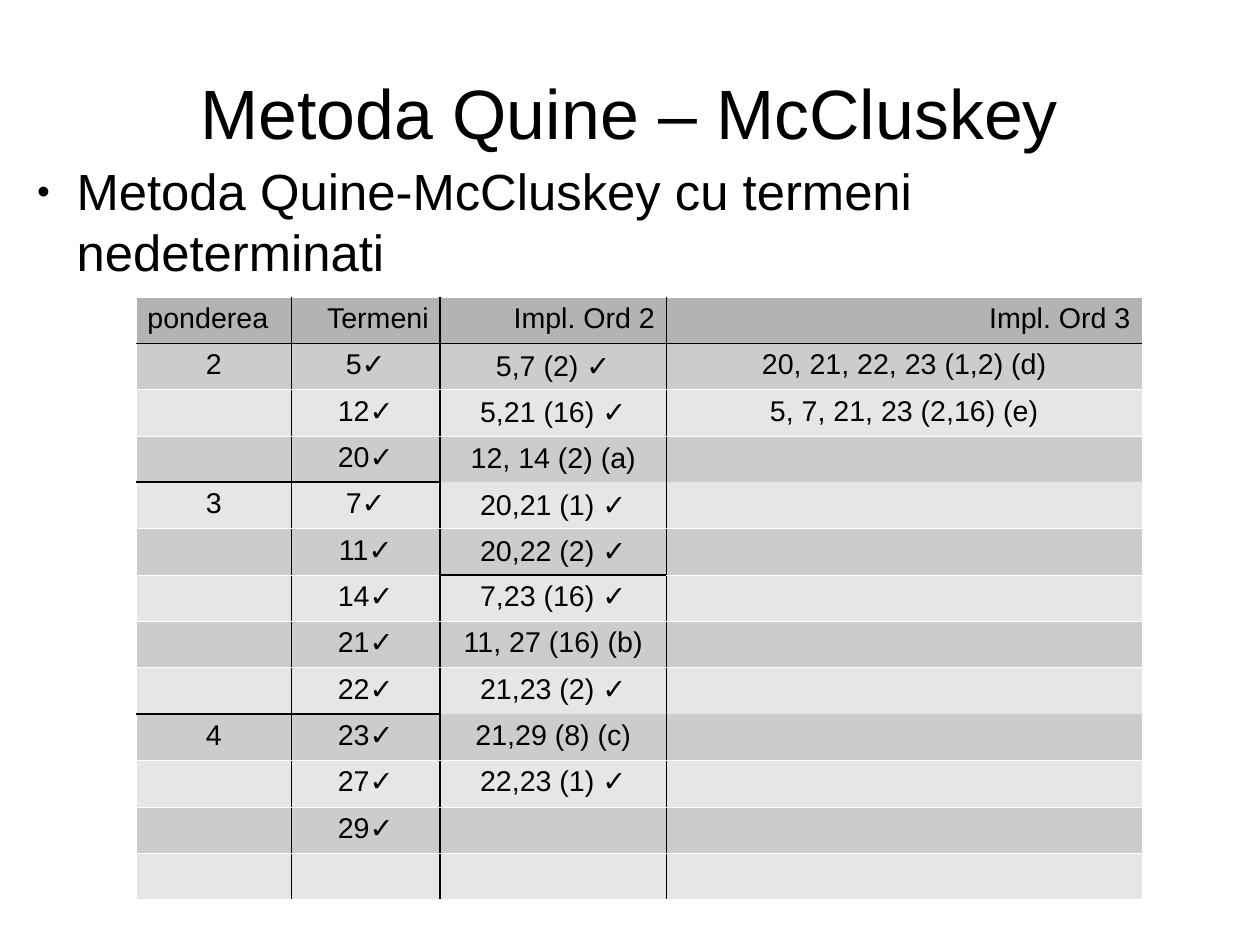
from lxml import etree
from pptx import Presentation
from pptx import util as u
from pptx.dml.color import RGBColor
from pptx.enum import text
from pptx.oxml.ns import qn

TITLE = "Metoda Quine – McCluskey"
BULLET = "Metoda Quine-McCluskey cu termeni nedeterminati"
HEADER = ["ponderea", "Termeni", "Impl. Ord 2", "Impl. Ord 3"]
WEIGHTS = {1: "2", 4: "3", 9: "4"}  # table row: weight of the group
TERMS = [5, 12, 20, 7, 11, 14, 21, 22, 23, 27, 29]
ORDER_2 = ["5,7 (2) ✓", "5,21 (16) ✓", "12, 14 (2) (a)", "20,21 (1) ✓",
           "20,22 (2) ✓", "7,23 (16) ✓", "11, 27 (16) (b)", "21,23 (2) ✓",
           "21,29 (8) (c)", "22,23 (1) ✓"]
ORDER_3 = ["20, 21, 22, 23 (1,2) (d)", "5, 7, 21, 23 (2,16) (e)"]

SLIDE_CM = (28, 21)
ROWS, COL_WIDTHS = 13, [1.36, 1.3, 1.98, 4.16]
LAST_COL = len(COL_WIDTHS) - 1
TABLE_LEFT, TABLE_TOP, TABLE_HEIGHT = 1.19, 2.6, 5.25
GROUP_ENDS = (3, 8)   # rows that close a weight group
ORDER_2_END = 5       # row that closes the first group of order 2
COLORS = {"ink": "000000", "header": "B3B3B3", "odd": "CCCCCC",
          "even": "E6E6E6", "hairline": "FFFFFF"}
BLACK, WHITE = ("ink", 1), ("hairline", 0.06)
FONT = "Arial"
AL = text.PP_ALIGN


def rgb(name):
    """Return a named colour."""
    return RGBColor.from_string(COLORS[name])


def add_run(p, words, size):
    """Add a run in the slide's font."""
    r = p.add_run()
    r.text = words
    r.font.name, r.font.size = FONT, u.Pt(size)
    r.font.color.rgb = rgb("ink")


def fill_placeholder(sp, box, words, size, anchor, spacing):
    """Place a placeholder, write its text and return the paragraph."""
    sp.left, sp.top, sp.width, sp.height = map(u.Inches, box)
    tf = sp.text_frame
    tf.margin_left = tf.margin_right = tf.margin_top = tf.margin_bottom = 0
    tf.word_wrap, tf.auto_size = True, text.MSO_AUTO_SIZE.NONE
    tf.vertical_anchor = anchor
    p = tf.paragraphs[0]
    p.line_spacing = spacing
    add_run(p, words, size)
    return p


def add_bullet(p):
    """Give a paragraph a small round bullet with a hanging indent."""
    pPr = p._p.get_or_add_pPr()
    pPr.set("marL", str(u.Inches(0.47)))
    pPr.set("indent", str(u.Inches(-0.35)))
    clr = etree.SubElement(pPr, qn("a:buClr"))
    etree.SubElement(clr, qn("a:srgbClr"), val=COLORS["ink"])
    etree.SubElement(pPr, qn("a:buSzPct"), val="45000")
    etree.SubElement(pPr, qn("a:buFont"), typeface=FONT)
    etree.SubElement(pPr, qn("a:buChar"), char="●")


def rule_below(row, col):
    """Return the line under a row; row -1 is the table's top edge."""
    if row == 0 or (row == ORDER_2_END and col == 2):
        return BLACK
    if row in GROUP_ENDS:
        return BLACK if col < 2 else None
    return WHITE


def set_borders(cell, row, col):
    """Draw the four borders of a cell."""
    sides = {"L": BLACK if col else WHITE,
             "R": BLACK if col < LAST_COL else WHITE,
             "T": rule_below(row - 1, col),
             "B": rule_below(row, col)}
    tcPr = cell._tc.get_or_add_tcPr()
    for side, line in sides.items():
        ln = etree.SubElement(tcPr, qn("a:ln" + side))
        if line is None:
            etree.SubElement(ln, qn("a:noFill"))
            continue
        color, width = line
        ln.set("w", str(u.Pt(width)))
        solid = etree.SubElement(ln, qn("a:solidFill"))
        etree.SubElement(solid, qn("a:srgbClr"), val=COLORS[color])


def add_terms_table(s):
    """Add the table of terms and implicants."""
    columns = [[WEIGHTS.get(i, "") for i in range(1, ROWS)],
               [f"{t}✓" for t in TERMS], ORDER_2, ORDER_3]
    table = s.shapes.add_table(
        ROWS, len(COL_WIDTHS), u.Inches(TABLE_LEFT), u.Inches(TABLE_TOP),
        u.Inches(sum(COL_WIDTHS)), u.Inches(TABLE_HEIGHT)).table
    table.first_row = table.horz_banding = False
    for row in table.rows:
        row.height = u.Inches(TABLE_HEIGHT / ROWS)
    for col, (width, head, body) in enumerate(zip(COL_WIDTHS, HEADER, columns)):
        table.columns[col].width = u.Inches(width)
        words = [head, *body]
        for row in range(ROWS):
            cell = table.cell(row, col)
            set_borders(cell, row, col)
            cell.fill.solid()
            cell.fill.fore_color.rgb = rgb(
                "header" if row == 0 else "odd" if row % 2 else "even")
            if col == 2 and 1 <= row <= ORDER_2_END:
                cell.vertical_anchor = text.MSO_ANCHOR.MIDDLE
            if row < len(words) and words[row]:
                p = cell.text_frame.paragraphs[0]
                p.alignment = AL.CENTER if row else AL.RIGHT if col else AL.LEFT
                add_run(p, words[row], 18)


prs = Presentation()
prs.slide_width, prs.slide_height = map(u.Cm, SLIDE_CM)
s = prs.slides.add_slide(prs.slide_layouts[1])
title = fill_placeholder(s.shapes.title, (0.55, 0.33, 9.92, 1.38), TITLE, 44,
                         text.MSO_ANCHOR.MIDDLE, 0.9)
title.alignment = AL.CENTER
body = fill_placeholder(s.placeholders[1], (0.2, 1.4, 10.47, 4.8), BULLET, 32,
                        text.MSO_ANCHOR.TOP, 1.0)
body.alignment = AL.LEFT
body.space_before, body.space_after = u.Pt(10), u.Pt(14.1)
add_bullet(body)
add_terms_table(s)
prs.save("out.pptx")
